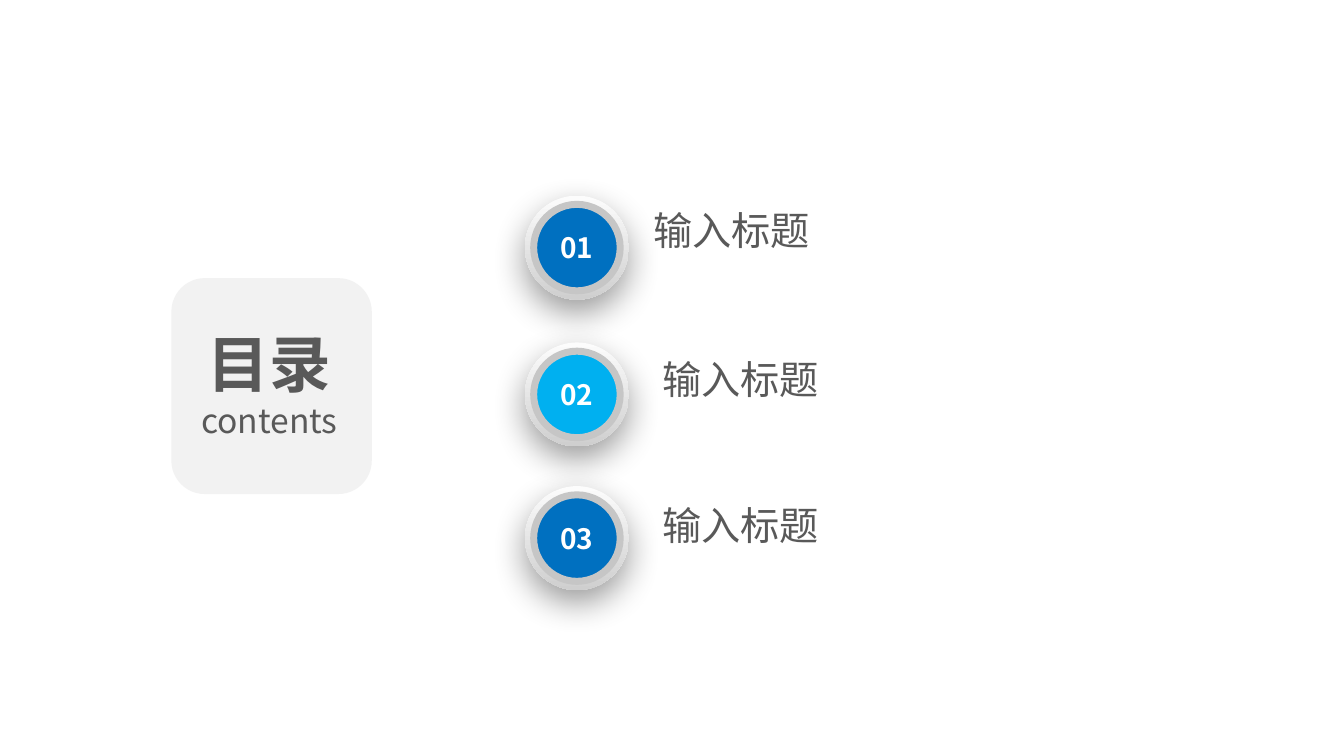
from dataclasses import dataclass

from lxml import etree
from pptx import Presentation
from pptx.dml.color import RGBColor
from pptx.enum import shapes, text
from pptx.oxml import ns
from pptx.util import Cm, Pt


@dataclass(frozen=True)
class Theme:
    font: str = "Noto Sans CJK SC"
    ink: str = "595959"
    panel: str = "F2F2F2"
    white: str = "FFFFFF"
    blue: str = "0070C0"
    sky: str = "00B0F0"
    ring: str = "C6C6C6"
    rim: tuple = ("FCFCFC", "CFCFCF")
    shadow: str = "000000"
    heading_size: int = 44
    subheading_size: int = 24
    title_size: int = 28
    number_size: int = 20


THEME = Theme()
BADGE_LEFT, BADGE_SIZE, DISC_SIZE = 13.23, 2.62, 2.18
TITLE_HEIGHT = 1.45

# number, disc colour, badge top, title, title left, title top, title width
ENTRIES = [
    ("01", THEME.blue, 4.93, "输入标题", 16.46, 5.08, 13.21),
    ("02", THEME.sky, 8.63, "输入标题", 16.69, 8.84, 14.48),
    ("03", THEME.blue, 12.25, "输入标题", 16.69, 12.5, 13.21),
]


def write(paragraph, words, size, color, bold=False, align=text.PP_ALIGN.CENTER):
    paragraph.text = words
    paragraph.alignment = align
    font = paragraph.font
    font.size, font.bold, font.name = Pt(size), bold, THEME.font
    font.color.rgb = RGBColor.from_string(color)
    # East Asian characters take their own typeface
    properties = paragraph._p.pPr.find(ns.qn("a:defRPr"))
    etree.SubElement(properties, ns.qn("a:ea"), typeface=THEME.font)


def add_plain_shape(parent, kind, left, top, width, height):
    shape = parent.shapes.add_shape(kind, Cm(left), Cm(top), Cm(width), Cm(height))
    shape.shadow.inherit = False
    shape.line.fill.background()
    return shape


def fill_solid(shape, color):
    shape.fill.solid()
    shape.fill.fore_color.rgb = RGBColor.from_string(color)


def add_text_box(parent, left, top, width, height):
    box = parent.shapes.add_textbox(Cm(left), Cm(top), Cm(width), Cm(height))
    box.text_frame.word_wrap = True
    return box.text_frame


def add_soft_shadow(shape):
    effects = shape._element.spPr.find(ns.qn("a:effectLst"))
    shadow = etree.SubElement(
        effects, ns.qn("a:outerShdw"), blurRad=str(Pt(25)), dist=str(Pt(9)),
        dir="5400000", algn="t", rotWithShape="0")
    color = etree.SubElement(shadow, ns.qn("a:srgbClr"), val=THEME.shadow)
    etree.SubElement(color, ns.qn("a:alpha"), val="40000")


def add_contents_panel(slide):
    group = slide.shapes.add_group_shape()
    panel = add_plain_shape(
        group, shapes.MSO_SHAPE.ROUNDED_RECTANGLE, 4.32, 7.01, 5.05, 5.44)
    fill_solid(panel, THEME.panel)
    frame = add_text_box(group, 4.11, 8.1, 5.36, 3.18)
    write(frame.paragraphs[0], "目录", THEME.heading_size, THEME.ink, bold=True)
    write(frame.add_paragraph(), "contents", THEME.subheading_size, THEME.ink)


def add_badge(slide, number, color, top):
    group = slide.shapes.add_group_shape()
    oval = shapes.MSO_SHAPE.OVAL
    rim = add_plain_shape(group, oval, BADGE_LEFT, top, BADGE_SIZE, BADGE_SIZE)
    rim.fill.gradient()
    rim.fill.gradient_angle = 270
    for stop, shade in zip(rim.fill.gradient_stops, THEME.rim):
        stop.color.rgb = RGBColor.from_string(shade)
    add_soft_shadow(rim)

    inset = (BADGE_SIZE - DISC_SIZE) / 2
    disc = add_plain_shape(
        group, oval, BADGE_LEFT + inset, top + inset, DISC_SIZE, DISC_SIZE)
    fill_solid(disc, color)
    disc.line.color.rgb = RGBColor.from_string(THEME.ring)
    disc.line.width = Pt(5)
    frame = disc.text_frame
    frame.vertical_anchor = text.MSO_ANCHOR.MIDDLE
    write(frame.paragraphs[0], number, THEME.number_size, THEME.white, bold=True)


def add_title(slide, title, left, top, width):
    frame = add_text_box(slide, left, top, width, TITLE_HEIGHT)
    frame.margin_left = 0
    write(frame.paragraphs[0], title, THEME.title_size, THEME.ink,
          align=text.PP_ALIGN.LEFT)


def main():
    presentation = Presentation()
    presentation.slide_width, presentation.slide_height = Cm(33.87), Cm(19.05)
    slide = presentation.slides.add_slide(presentation.slide_layouts[6])

    # Heading panel
    add_contents_panel(slide)

    # Numbered entries
    for number, color, badge_top, title, left, top, width in ENTRIES:
        add_badge(slide, number, color, badge_top)
        add_title(slide, title, left, top, width)

    presentation.save("out.pptx")


if __name__ == "__main__":
    main()
